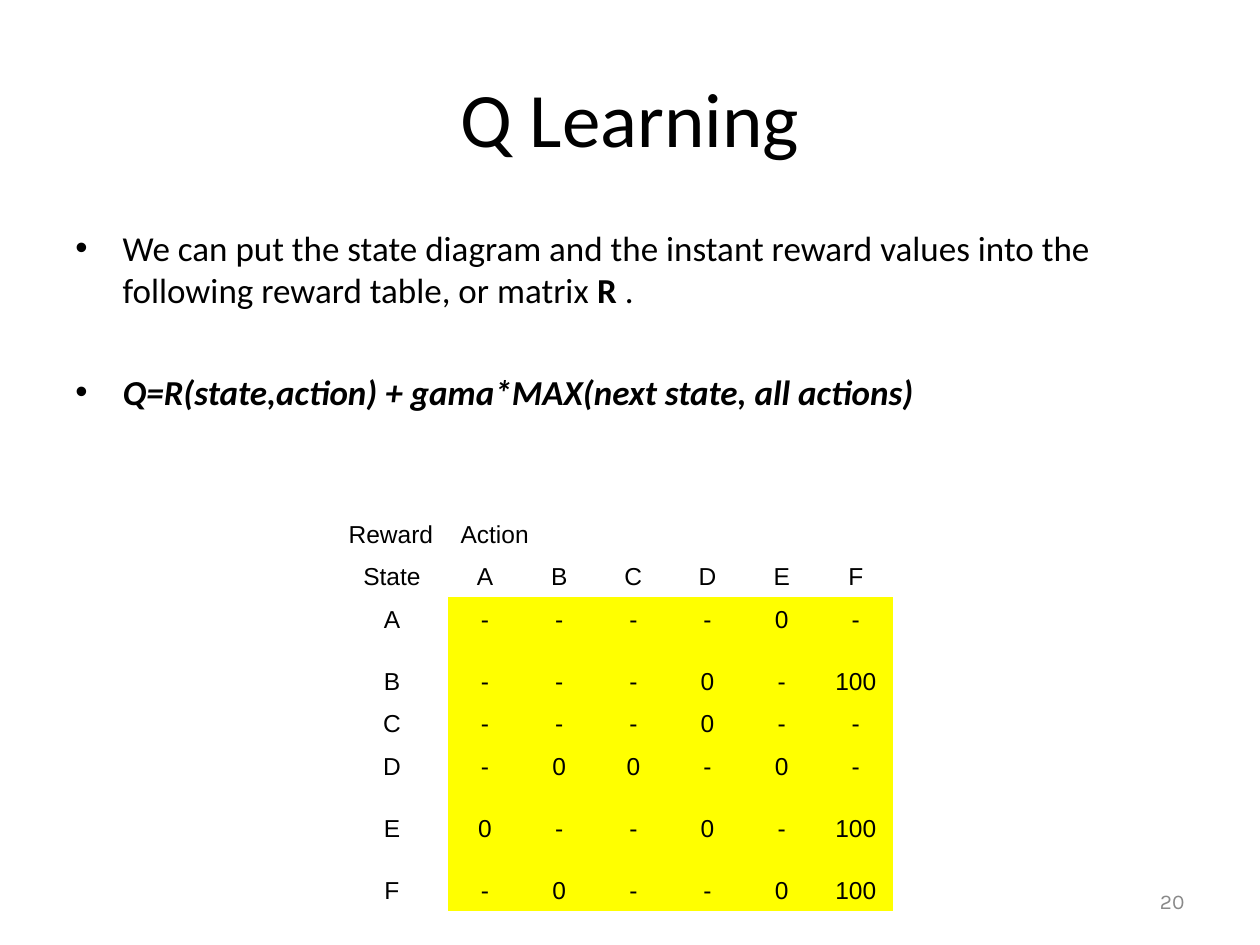
from lxml import etree
from pptx import Presentation
from pptx.dml.color import RGBColor
from pptx.enum.text import MSO_ANCHOR as ANCHOR, PP_ALIGN as ALIGN
from pptx.oxml.ns import qn
from pptx.util import Pt

COLORS = {"text": "000000", "number": "898989", "reward": "FFFF00"}
NO_STYLE_NO_GRID = "{2D5ABB26-0587-4C30-8999-92F81FD0307C}"


def style(p, font, size, color="text", align=ALIGN.LEFT):
    p.alignment = align
    for r in p.runs:
        r.font.name = font
        r.font.size = Pt(size)
        r.font.color.rgb = RGBColor.from_string(COLORS[color])


def add_text_frame(left, top, width, height, anchor):
    sp = s.shapes.add_textbox(Pt(left), Pt(top), Pt(width), Pt(height))
    tf = sp.text_frame
    tf.word_wrap = True
    tf.vertical_anchor = anchor
    return tf


prs = Presentation()
prs.slide_width, prs.slide_height = Pt(720), Pt(540)
s = prs.slides.add_slide(prs.slide_layouts[6])

# Title
tf = add_text_frame(36, 21.6, 648, 90, ANCHOR.MIDDLE)
tf.text = "Q Learning"
style(tf.paragraphs[0], "Calibri", 44, align=ALIGN.CENTER)

# Bullets: runs are (text, bold, italic)
bullets = [
    [("We can put the state diagram and the instant reward values into the "
      "following reward table, or matrix ", False, False),
     ("R ", True, False), (".", False, False)],
    [("Q=R(state,action) + gama*MAX(next state, all actions)", True, True)],
]
tf = add_text_frame(36, 126, 648, 356.4, ANCHOR.TOP)
for i, runs in enumerate(bullets):
    p = tf.add_paragraph() if i else tf.paragraphs[0]
    pPr = p._p.get_or_add_pPr()
    pPr.set("marL", str(Pt(27)))
    pPr.set("indent", str(-Pt(27)))
    etree.SubElement(pPr, qn("a:buFont"), typeface="Arial")
    etree.SubElement(pPr, qn("a:buChar"), char="•")
    if i:
        p.space_before = Pt(34)
    for text, bold, italic in runs:
        r = p.add_run()
        r.text = text
        r.font.bold, r.font.italic = bold, italic
    style(p, "Calibri", 20)

# Slide number
tf = add_text_frame(516, 500.4, 168, 28.8, ANCHOR.MIDDLE)
tf.text = "20"
style(tf.paragraphs[0], "Karla", 12, "number", ALIGN.RIGHT)

# Reward table
rows = [
    ["Reward", "Action", "", "", "", "", ""],
    ["State", "A", "B", "C", "D", "E", "F"],
    ["A", "-", "-", "-", "-", "0", "-"],
    ["B", "-", "-", "-", "0", "-", "100"],
    ["C", "-", "-", "-", "0", "-", "-"],
    ["D", "-", "0", "0", "-", "0", "-"],
    ["E", "0", "-", "-", "0", "-", "100"],
    ["F", "-", "0", "-", "-", "0", "100"],
]
row_heights = [41, 24.4, 24.4, 35.3, 24.4, 24.4, 35.3, 35.3]
col_widths = [64] + [42.4] * 6
table = s.shapes.add_table(len(rows), len(col_widths), Pt(192), Pt(276),
                           Pt(sum(col_widths)), Pt(sum(row_heights))).table
table.first_row = table.horz_banding = False
table._tbl.tblPr.find(qn("a:tableStyleId")).text = NO_STYLE_NO_GRID
for col, width in zip(table.columns, col_widths):
    col.width = Pt(width)
for i, (values, height) in enumerate(zip(rows, row_heights)):
    table.rows[i].height = Pt(height)
    for j, value in enumerate(values):
        cell = table.cell(i, j)
        cell.text = value
        cell.vertical_anchor = ANCHOR.BOTTOM
        if i > 1 and j > 0:
            cell.fill.solid()
            cell.fill.fore_color.rgb = RGBColor.from_string(COLORS["reward"])
        else:
            cell.fill.background()
        style(cell.text_frame.paragraphs[0], "Arial", 14,
              align=ALIGN.CENTER if i else ALIGN.LEFT)
table.cell(0, 1).merge(table.cell(0, 2))

prs.save("out.pptx")
